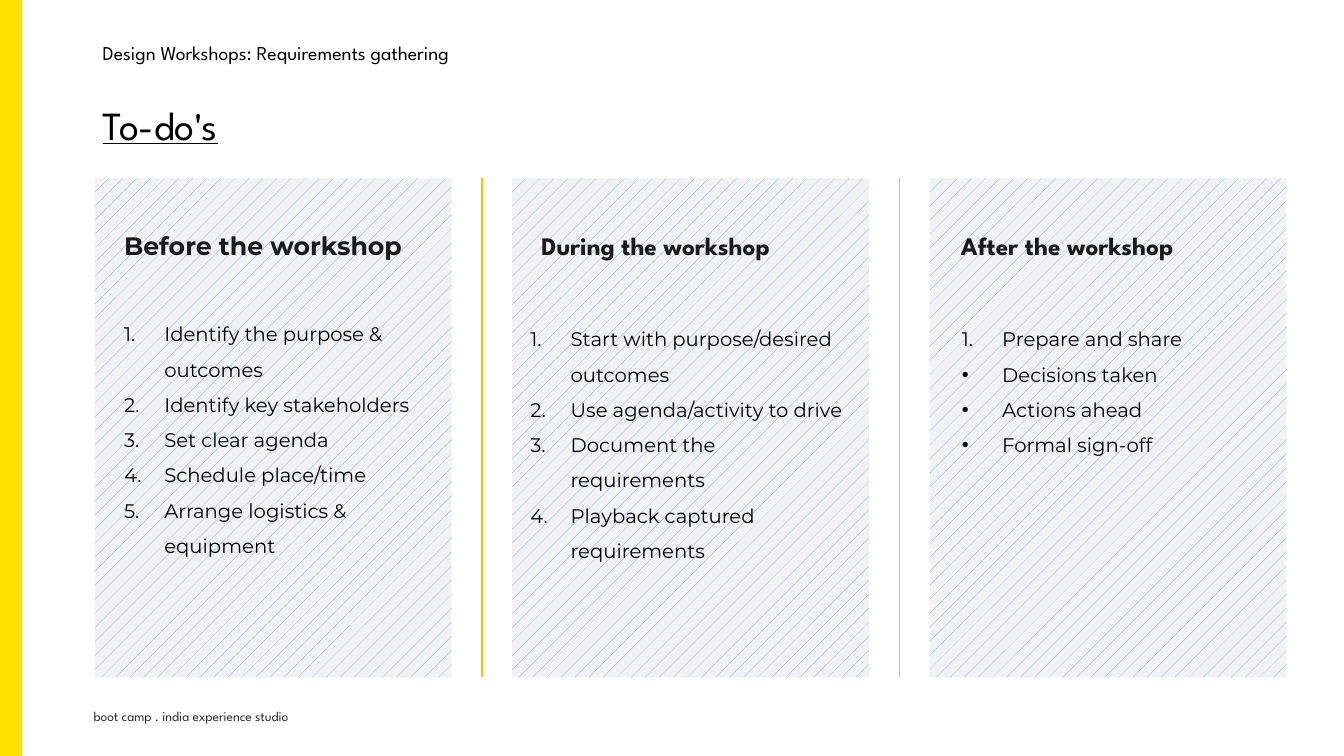
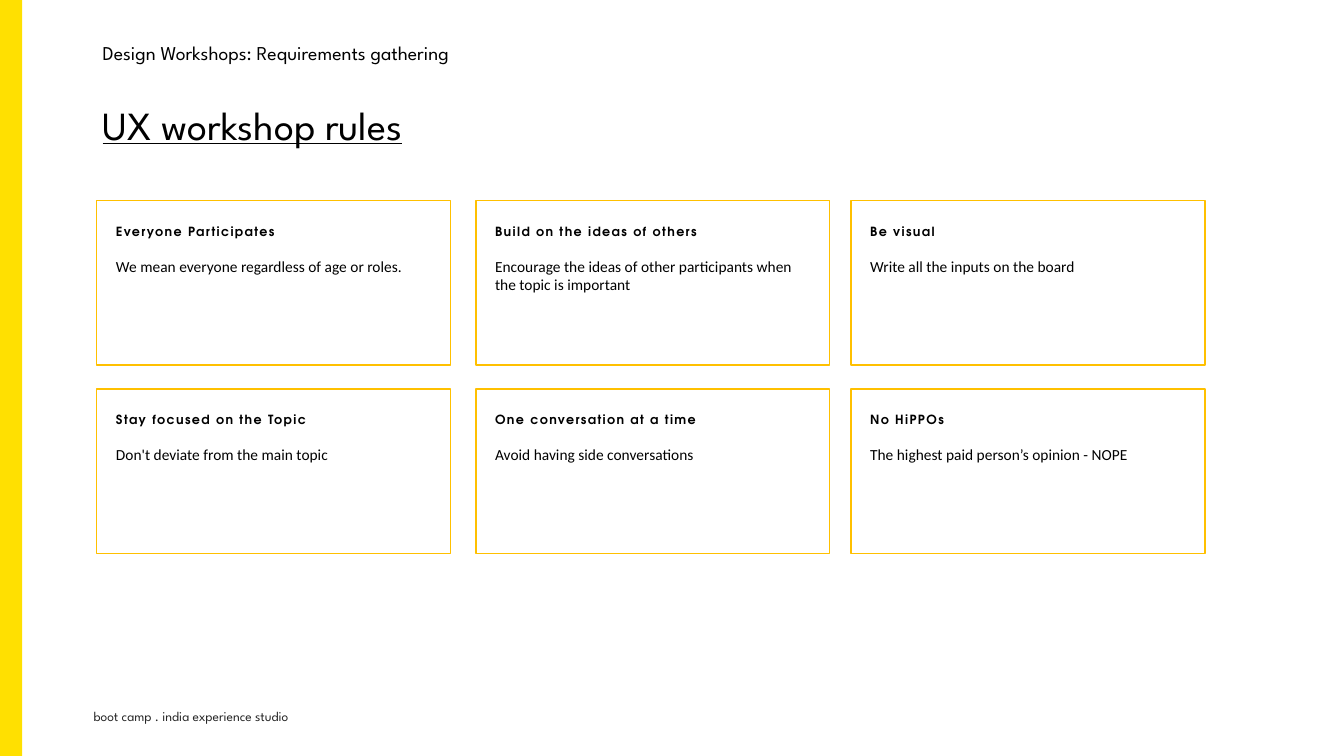
from lxml import etree
from pptx import Presentation
from pptx.dml.color import RGBColor
from pptx.enum.dml import MSO_PATTERN
from pptx.enum.shapes import MSO_CONNECTOR, MSO_SHAPE
from pptx.enum.text import MSO_ANCHOR
from pptx.oxml.ns import qn
from pptx.util import Inches, Pt

RECT = MSO_SHAPE.RECTANGLE
STRAIGHT = MSO_CONNECTOR.STRAIGHT
DOTS = MSO_PATTERN.PERCENT_5
MIDDLE = MSO_ANCHOR.MIDDLE
TOP = MSO_ANCHOR.TOP

COLORS = {
    "band": "FFE001",
    "footer": "262626",
    "text": "000000",
    "heading": "191919",
    "accent": "FFC000",
    "panel": "F2F2F2",
    "hatch": "5B9BD5",
    "card": "FFFFFF",
}
SPARTAN = "League Spartan"
MONTSERRAT = "Montserrat"
CALIBRI = "Calibri"
ADVENTOR = "TeX Gyre Adventor"

PANEL_LEFT, PANEL_TOP, PANEL_W, PANEL_H, PANEL_GAP = 0.94, 1.77, 3.54, 4.95, 0.6
CARD_LEFTS = [0.96, 4.72, 8.44]
CARD_TOP, CARD_W, CARD_H, CARD_GAP = 1.99, 3.51, 1.63, 0.24

TODOS = [
    {
        "heading": "Before the workshop", "font": MONTSERRAT,
        "heading_left": 1.23, "list_at": (1.23, 3.08, 2.95, 2.6),
        "numbered": ["Identify the purpose & outcomes", "Identify key stakeholders",
                     "Set clear agenda", "Schedule place/time",
                     "Arrange logistics & equipment"],
        "bulleted": [],
    },
    {
        "heading": "During the workshop", "font": SPARTAN,
        "heading_left": 5.37, "list_at": (5.26, 3.13, 3.17, 1.8),
        "numbered": ["Start with purpose/desired outcomes", "Use agenda/activity to drive",
                     "Document the requirements", "Playback captured requirements"],
        "bulleted": [],
    },
    {
        "heading": "After the workshop", "font": SPARTAN,
        "heading_left": 9.53, "list_at": (9.54, 3.13, 2.95, 1.8),
        "numbered": ["Prepare and share"],
        "bulleted": ["Decisions taken", "Actions ahead", "Formal sign-off"],
    },
]
RULES = [
    ("Everyone Participates", "We mean everyone regardless of age or roles."),
    ("Build on the ideas of others",
     "Encourage the ideas of other participants when the topic is important"),
    ("Be visual", "Write all the inputs on the board"),
    ("Stay focused on the Topic", "Don't deviate from the main topic"),
    ("One conversation at a time", "Avoid having side conversations"),
    ("No HiPPOs", "The highest paid person’s opinion - NOPE"),
]


def rgb(name):
    return RGBColor.from_string(COLORS[name])


def add_text(s, at, lines, font, size, color="text", bold=False, underline=False,
             inset=True, anchor=TOP, spacing=None, before=None, after=None, tracking=None):
    sp = s.shapes.add_textbox(*map(Inches, at))
    tf = sp.text_frame
    tf.word_wrap = True
    tf.vertical_anchor = anchor
    if not inset:
        tf.margin_left = tf.margin_right = tf.margin_top = tf.margin_bottom = 0
    tf.text = "\n".join(lines)
    for p in tf.paragraphs:
        p.line_spacing = spacing
        p.space_before = before
        p.space_after = after
        for r in p.runs:
            r.font.name = font
            r.font.size = Pt(size)
            r.font.bold = bold
            r.font.underline = underline
            r.font.color.rgb = rgb(color)
            if tracking:
                r.font._element.set("spc", str(tracking * 100))
    return tf


def add_box(s, at, fill=None, line=None):
    sp = s.shapes.add_shape(RECT, *map(Inches, at))
    sp.shadow.inherit = False
    if fill:
        sp.fill.solid()
        sp.fill.fore_color.rgb = rgb(fill)
    if line:
        sp.line.color.rgb = rgb(line)
        sp.line.width = Pt(1)
    else:
        sp.line.fill.background()
    return sp


def add_panel(s, at):
    fill = add_box(s, at).fill
    fill.patterned()
    fill.pattern = DOTS
    fill.fore_color.rgb = rgb("hatch")
    fill.back_color.rgb = rgb("panel")


def add_divider(s, x):
    ends = map(Inches, (x, PANEL_TOP, x, PANEL_TOP + PANEL_H))
    line = s.shapes.add_connector(STRAIGHT, *ends)
    line.line.color.rgb = rgb("accent")
    line.line.width = Pt(1)
    etree.SubElement(line._element.spPr, qn("a:effectLst"))


def set_marker(p, numbered):
    pPr = p._p.get_or_add_pPr()
    pPr.set("marL", str(Inches(0.4)))
    pPr.set("indent", str(-Inches(0.4)))
    if numbered:
        etree.SubElement(pPr, qn("a:buFont"), typeface="+mj-lt")
        etree.SubElement(pPr, qn("a:buAutoNum"), type="arabicPeriod")
    else:
        etree.SubElement(pPr, qn("a:buFont"), typeface="Arial")
        etree.SubElement(pPr, qn("a:buChar"), char="•")


def add_list(s, at, numbered, bulleted):
    tf = add_text(s, at, numbered + bulleted, MONTSERRAT, 14, inset=False, spacing=1.5)
    for i, p in enumerate(tf.paragraphs):
        set_marker(p, i < len(numbered))


def add_base_slide(prs, title):
    s = prs.slides.add_slide(prs.slide_layouts[6])
    add_box(s, (0, 0, 0.22, 7.5), "band")
    add_text(s, (0.83, 6.98, 6.67, 0.26), ["boot camp . india experience studio"],
             SPARTAN, 9.6, "footer")
    add_text(s, (0.92, 0.38, 5.03, 0.25), ["Design Workshops: Requirements gathering"],
             SPARTAN, 14, spacing=0.9, before=Pt(10))
    add_text(s, (0.92, 0.83, 11.5, 0.88), [title], SPARTAN, 28.5,
             underline=True, anchor=MIDDLE, spacing=0.9)
    return s


def add_todo_slide(prs):
    s = add_base_slide(prs, "To-do's")
    for i, todo in enumerate(TODOS):
        x = PANEL_LEFT + i * (PANEL_W + PANEL_GAP)
        add_panel(s, (x, PANEL_TOP, PANEL_W, PANEL_H))
        if i:
            add_divider(s, x - PANEL_GAP / 2)
        add_text(s, (todo["heading_left"], 2.23, 2.95, 0.34), [todo["heading"]],
                 todo["font"], 18, "heading", bold=True, inset=False,
                 spacing=1.2, before=Pt(4), after=Pt(4))
        add_list(s, todo["list_at"], todo["numbered"], todo["bulleted"])


def add_rules_slide(prs):
    s = add_base_slide(prs, "UX workshop rules")
    for i, (heading, detail) in enumerate(RULES):
        row, col = divmod(i, len(CARD_LEFTS))
        x = CARD_LEFTS[col]
        y = CARD_TOP + row * (CARD_H + CARD_GAP)
        add_box(s, (x, y, CARD_W, CARD_H), "card", "accent")
        add_text(s, (x + 0.19, y + 0.23, 3.08, 0.15), [heading], ADVENTOR, 9,
                 bold=True, inset=False, tracking=1)
        add_text(s, (x + 0.19, y + 0.56, 2.95, 0.37), [detail], CALIBRI, 11, inset=False)


def main():
    prs = Presentation()
    prs.slide_width = Inches(13.33)
    prs.slide_height = Inches(7.5)
    add_todo_slide(prs)
    add_rules_slide(prs)
    prs.save("out.pptx")


if __name__ == "__main__":
    main()
